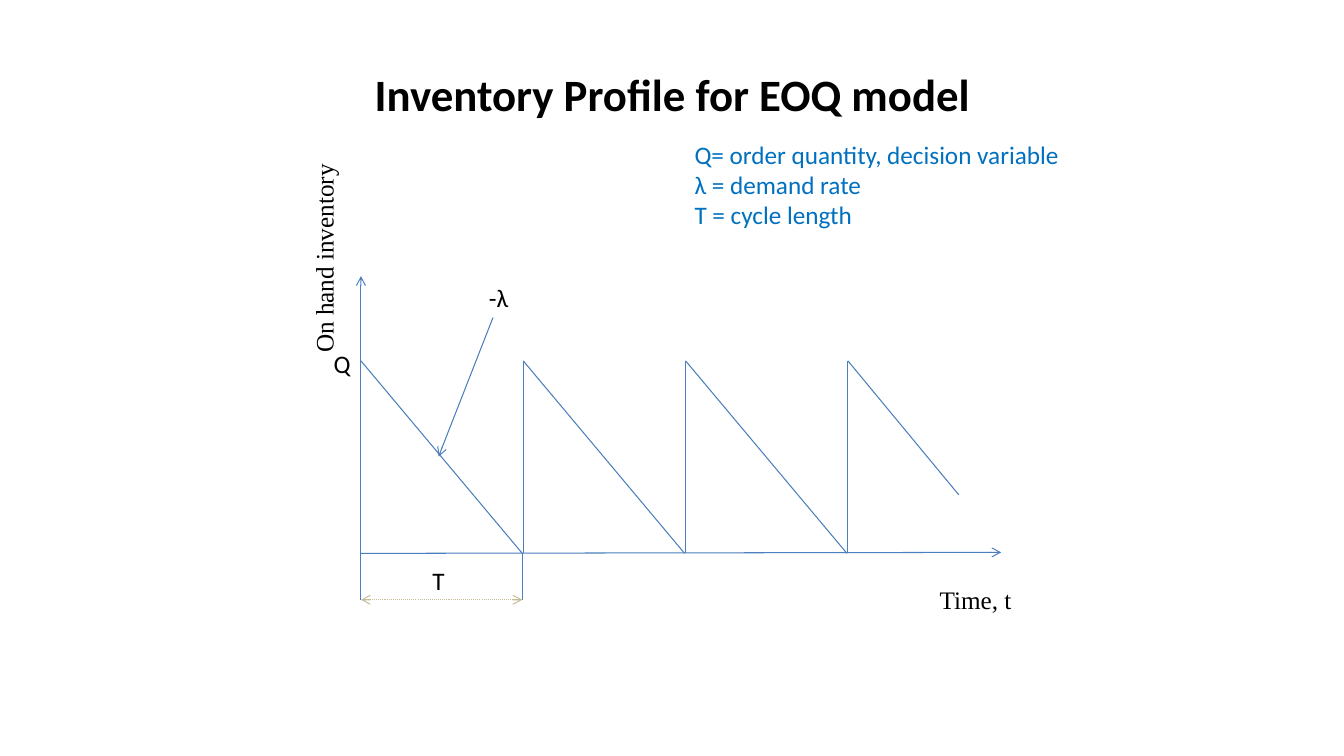
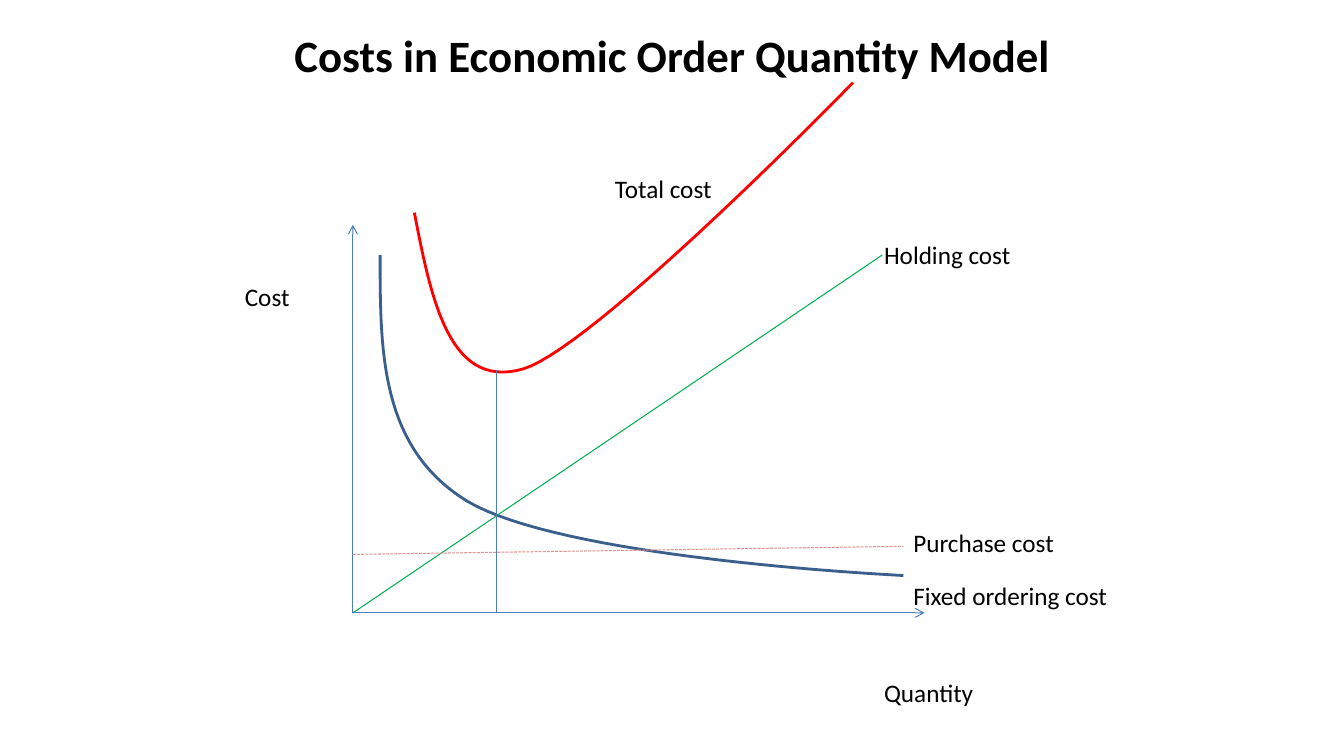
from lxml import etree
from pptx import Presentation
from pptx.dml.color import RGBColor
from pptx.enum import dml, shapes, text
from pptx.oxml.ns import qn
from pptx.util import Inches, Pt

COLORS = {
    "ink": "000000", "axis": "4B7EBC", "legend": "0070C0", "span": "C4BD97",
    "ordering": "3A5F8C", "holding": "00B050", "total": "FF0000", "purchase": "D99694",
}
DOT, DASH = dml.MSO_LINE.ROUND_DOT, dml.MSO_LINE.SQUARE_DOT


def add_text(page, lines, left, top, width, height=0.4, font="Calibri",
             color="ink", title=False, wrap=False):
    box = page.shapes.add_textbox(Inches(left), Inches(top), Inches(width), Inches(height))
    frame = box.text_frame
    frame.word_wrap = wrap or title
    frame.text = lines
    if title:
        frame.vertical_anchor = text.MSO_ANCHOR.MIDDLE
    else:
        frame.auto_size = text.MSO_AUTO_SIZE.SHAPE_TO_FIT_TEXT
    for para in frame.paragraphs:
        para.alignment = text.PP_ALIGN.CENTER if title else text.PP_ALIGN.LEFT
        for span in para.runs:
            span.font.name = font
            span.font.size = Pt(32 if title else 18)
            span.font.bold = title
            span.font.color.rgb = RGBColor.from_string(COLORS[color])
    return box


def add_line(page, start, end, color="axis", width=0.75, dash=None, arrows=()):
    line = page.shapes.add_connector(
        shapes.MSO_CONNECTOR.STRAIGHT, *(Inches(value) for value in (*start, *end)))
    line.line.color.rgb = RGBColor.from_string(COLORS[color])
    line.line.width = Pt(width)
    if dash:
        line.line.dash_style = dash
    properties = line._element.spPr
    for arrow in arrows:
        etree.SubElement(properties.find(qn("a:ln")), qn(f"a:{arrow}"), type="arrow")
    etree.SubElement(properties, qn("a:effectLst"))


deck = Presentation()
deck.slide_width, deck.slide_height = Inches(13.33), Inches(7.5)
blank = deck.slide_layouts[6]

# Slide 1: inventory profile
page = deck.slides.add_slide(blank)
add_text(page, "Inventory Profile for EOQ model", 0.67, 0.3, 12, 1.25, title=True)

# Axes
left, base, peak, cycle = 3.58, 5.49, 3.58, 1.61
add_line(page, (left, base), (left, 2.74), arrows=["tailEnd"])
add_line(page, (left, base), (9.93, 5.48), arrows=["tailEnd"])

# Sawtooth: stock falls through each cycle, then is refilled
for number in range(4):
    start = left + number * cycle
    if number:
        add_line(page, (start, peak), (start, base))
    end = (9.51, 4.91) if number == 3 else (start + 1.6, base)
    add_line(page, (start, peak), end)

# Cycle length marker
cycle_end, marker = 5.18, 5.95
for x in (left, cycle_end):
    add_line(page, (x, base), (x, marker))
add_line(page, (left, marker), (cycle_end, marker), "span", dash=DOT,
         arrows=["headEnd", "tailEnd"])

# Labels and legend
axis_label = add_text(page, "On hand inventory", 2.16, 2.35, 2.1, font="Times New Roman")
axis_label.rotation = 270
add_text(page, "Time, t", 9.22, 5.75, 0.92, font="Times New Roman")
add_text(page, "Q", 3.21, 3.41, 0.37)
add_text(page, "T", 4.19, 5.56, 0.32)
add_text(page, "-λ", 4.75, 2.75, 0.4)
add_line(page, (4.89, 3.15), (4.35, 4.53), arrows=["tailEnd"])
add_text(page, "Q= order quantity, decision variable\nλ = demand rate\nT = cycle length",
         6.79, 1.33, 4.71, 1.01, color="legend", wrap=True)

# Slide 2: cost curves
page = deck.slides.add_slide(blank)
add_text(page, "Costs in Economic Order Quantity Model", 2.17, -0.08, 9, 1.25, title=True)

# Axes
origin = (3.5, 6.08)
for end in ((9.17, 6.08), (3.5, 2.23)):
    add_line(page, origin, end, arrows=["tailEnd"])

# Curves: each has a start point and Bézier segments of three points
curves = [
    ("ordering", (3.77, 2.53), [((3.77, 3.49), (3.77, 4.44), (4.63, 4.97)),
                                ((5.5, 5.49), (8.22, 5.67), (8.96, 5.71))]),
    ("total", (4.11, 2.11), [((4.28, 2.99), (4.46, 3.87), (5.19, 3.66)),
                             ((5.91, 3.44), (8.46, 0.82), (8.46, 0.82))]),
]
STEPS = 30
for color, start, segments in curves:
    builder = page.shapes.build_freeform(Inches(start[0]), Inches(start[1]))
    points = []
    for first, second, end in segments:
        for step in range(1, STEPS + 1):
            t = step / STEPS
            weights = ((1 - t) ** 3, 3 * t * (1 - t) ** 2, 3 * t ** 2 * (1 - t), t ** 3)
            points.append([
                Inches(sum(w * value for w, value in zip(weights, values)))
                for values in zip(start, first, second, end)])
        start = end
    builder.add_line_segments(points, close=False)
    curve = builder.convert_to_shape()
    curve.shadow.inherit = False
    curve.fill.background()
    curve.line.color.rgb = RGBColor.from_string(COLORS[color])
    curve.line.width = Pt(2)

# Straight cost lines and the optimum
add_line(page, origin, (8.75, 2.53), "holding")
add_line(page, (3.5, 5.5), (8.96, 5.42), "purchase", dash=DASH)
add_line(page, (4.92, 6.08), (4.92, 3.67), width=0.25, dash=DOT)

# Labels
for label, x, y, width in [
    ("Holding cost", 8.67, 2.33, 1.47),
    ("Fixed ordering cost", 8.96, 5.71, 2.15),
    ("Purchase cost", 8.96, 5.18, 1.61),
    ("Total cost", 6, 1.67, 1.17),
    ("Quantity", 8.67, 6.67, 1.1),
    ("Cost", 2.33, 2.74, 0.65),
]:
    add_text(page, label, x, y, width)

deck.save("out.pptx")
